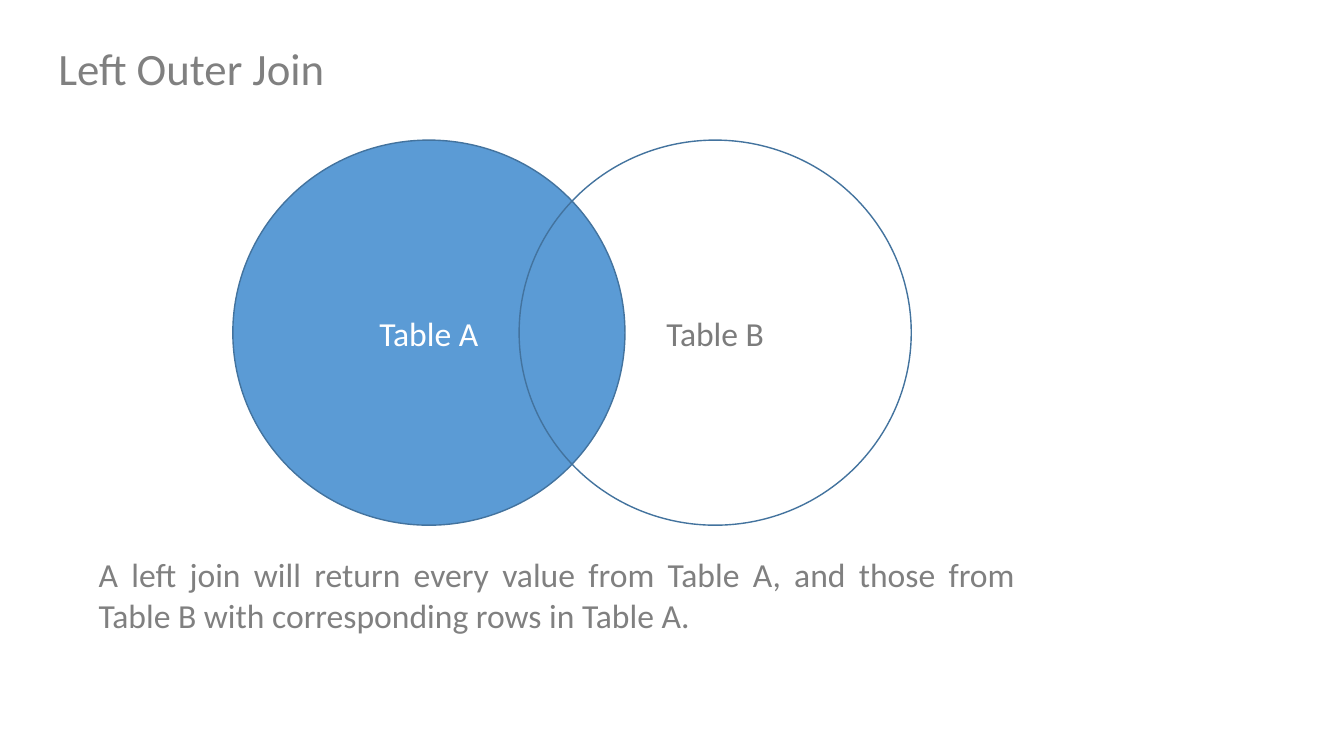
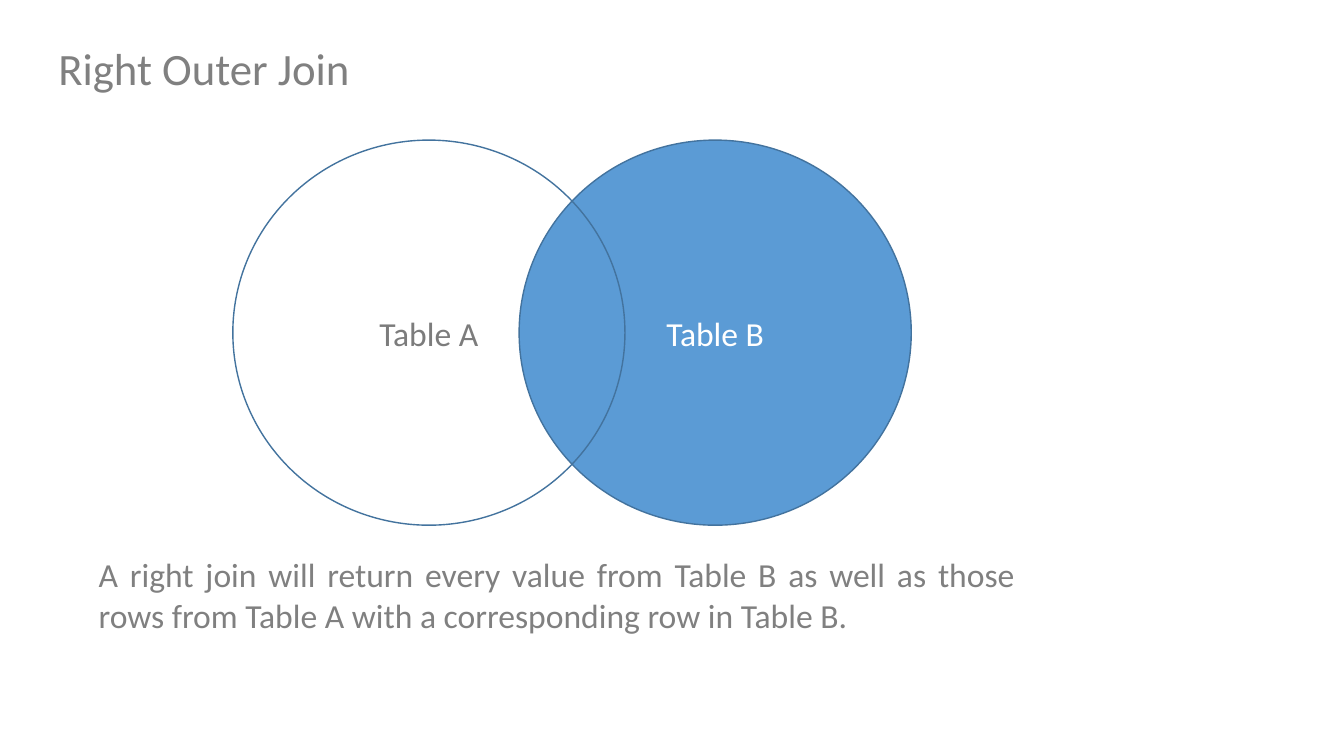
from dataclasses import dataclass

from pptx import Presentation
from pptx.dml.color import RGBColor
from pptx.enum.shapes import MSO_SHAPE
from pptx.enum.text import MSO_ANCHOR, MSO_AUTO_SIZE, PP_ALIGN
from pptx.util import Pt

OVAL = MSO_SHAPE.OVAL
LEFT, CENTER, JUSTIFY = PP_ALIGN.LEFT, PP_ALIGN.CENTER, PP_ALIGN.JUSTIFY
TOP, MIDDLE = MSO_ANCHOR.TOP, MSO_ANCHOR.MIDDLE
GROW = MSO_AUTO_SIZE.SHAPE_TO_FIT_TEXT


@dataclass(frozen=True)
class Theme:
    font: str = "Calibri"
    title_size: int = 32
    body_size: int = 24
    text: str = "808080"
    label: str = "7C7C7C"
    label_on_fill: str = "FFFFFF"
    fill: str = "5B9BD5"
    outline: str = "43739E"


# Circle positions shared by both slides, in points
CIRCLE_LEFT = {"Table A": 166.32, "Table B": 370.8}
CIRCLE_TOP, CIRCLE_W, CIRCLE_H = 100.08, 280.08, 275.04


def write(tf, text, *, font, size, color, align=LEFT, anchor=TOP):
    tf.word_wrap = True
    tf.vertical_anchor = anchor
    p = tf.paragraphs[0]
    p.alignment = align
    r = p.add_run()
    r.text = text
    r.font.name = font
    r.font.size = Pt(size)
    r.font.color.rgb = RGBColor.from_string(color)


class Deck:
    def __init__(self, theme):
        self.theme = theme
        self.prs = Presentation()
        self.prs.slide_width, self.prs.slide_height = Pt(960), Pt(540)
        self.s = None

    def new_slide(self):
        self.s = self.prs.slides.add_slide(self.prs.slide_layouts[6])

    def text_box(self, text, left, top, width, height, size, align=LEFT):
        sp = self.s.shapes.add_textbox(Pt(left), Pt(top), Pt(width), Pt(height))
        sp.text_frame.auto_size = GROW
        write(sp.text_frame, text, font=self.theme.font, size=size,
              color=self.theme.text, align=align)

    def title(self, text):
        self.text_box(text, 34.56, 25.92, 788.4, 46.08, self.theme.title_size)

    def explanation(self, text):
        self.text_box(text, 63.36, 392.4, 668.88, 65.52,
                      self.theme.body_size, JUSTIFY)

    def circle(self, name, filled):
        t = self.theme
        sp = self.s.shapes.add_shape(OVAL, Pt(CIRCLE_LEFT[name]), Pt(CIRCLE_TOP),
                                     Pt(CIRCLE_W), Pt(CIRCLE_H))
        sp.shadow.inherit = False
        if filled:
            sp.fill.solid()
            sp.fill.fore_color.rgb = RGBColor.from_string(t.fill)
        else:
            sp.fill.background()
        sp.line.color.rgb = RGBColor.from_string(t.outline)
        sp.line.width = Pt(1)
        write(sp.text_frame, name, font=t.font, size=t.body_size,
              color=t.label_on_fill if filled else t.label,
              align=CENTER, anchor=MIDDLE)

    def join_slide(self, title, kept, other, explanation):
        self.new_slide()
        self.title(title)
        # The outlined circle lies over the filled one
        self.circle(kept, filled=True)
        self.circle(other, filled=False)
        self.explanation(explanation)


deck = Deck(Theme())

# Left join: all of Table A
deck.join_slide(
    "Left Outer Join", "Table A", "Table B",
    "A left join will return every value from Table A, and those from "
    "Table B with corresponding rows in Table A.")

# Right join: all of Table B
deck.join_slide(
    "Right Outer Join", "Table B", "Table A",
    "A right join will return every value from Table B as well as those "
    "rows from Table A with a corresponding row in Table B.")

deck.prs.save("out.pptx")
